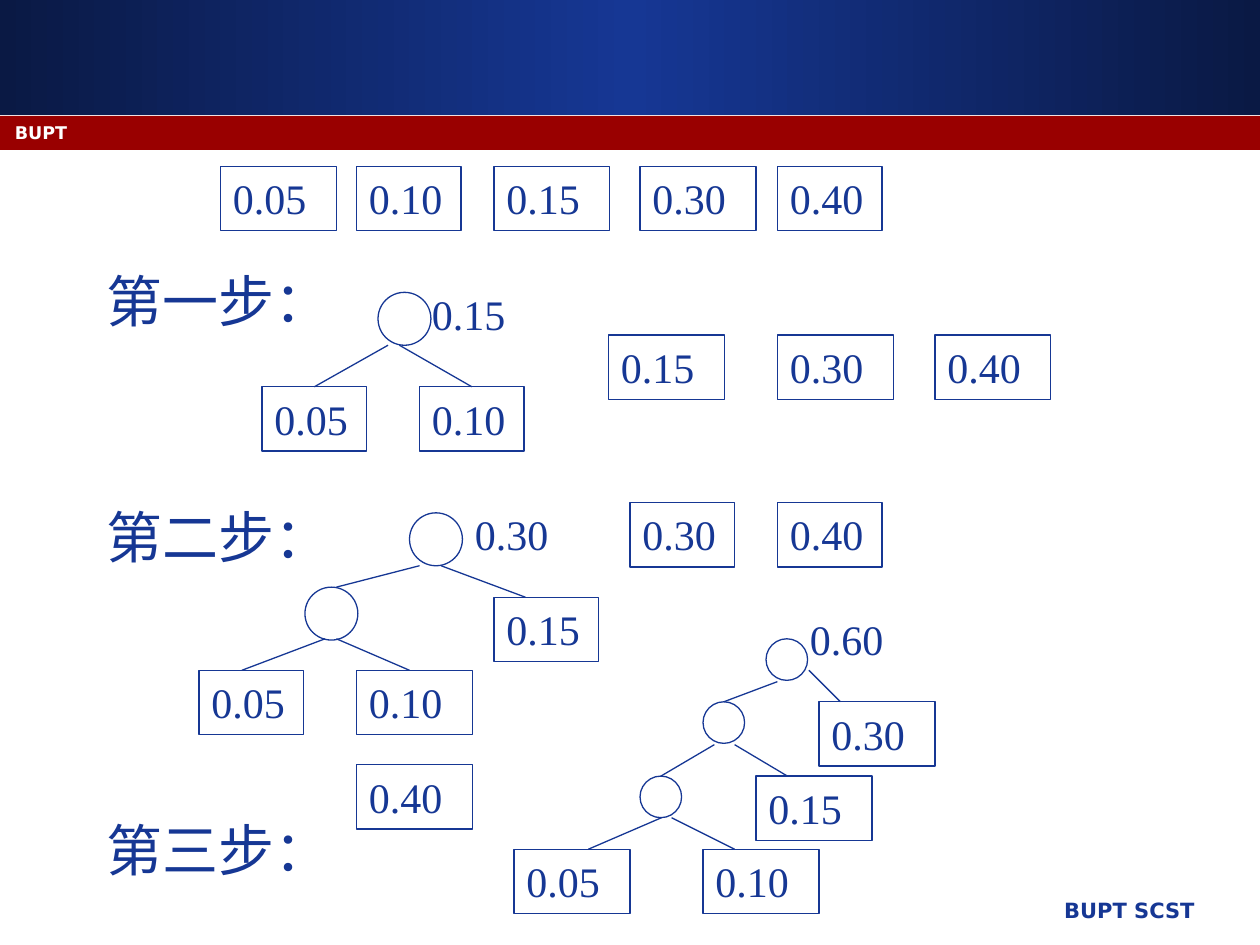
from copy import deepcopy

from pptx import Presentation
from pptx.dml.color import RGBColor
from pptx.enum.shapes import MSO_CONNECTOR, MSO_SHAPE
from pptx.enum.text import MSO_ANCHOR, PP_ALIGN
from pptx.oxml.ns import qn
from pptx.util import Inches, Pt
from lxml import etree

NAVY = RGBColor(0x16, 0x37, 0x94)
DARK_NAVY = RGBColor(0x0A, 0x19, 0x44)
RED = RGBColor(0x99, 0x00, 0x00)
WHITE = RGBColor(0xFF, 0xFF, 0xFF)
RECTANGLE, OVAL = MSO_SHAPE.RECTANGLE, MSO_SHAPE.OVAL
STRAIGHT = MSO_CONNECTOR.STRAIGHT
LEFT, RIGHT = PP_ALIGN.LEFT, PP_ALIGN.RIGHT
TOP = MSO_ANCHOR.TOP

NUMBER = {"name": "Times New Roman", "size": Pt(24)}
STEP = {"name": "Times New Roman", "size": Pt(32)}
BRAND = {"name": "DejaVu Sans", "size": Pt(10), "bold": True}
FOOTER = {"name": "DejaVu Sans", "size": Pt(12), "bold": True}
NARROW, WIDE, LEAF_HEIGHT = 0.83, 0.92, 0.51


def write(shape, text, font, color=NAVY, align=LEFT):
    frame = shape.text_frame
    frame.word_wrap = True
    frame.vertical_anchor = TOP
    para = frame.paragraphs[0]
    para.alignment = align
    span = para.add_run()
    span.text = text
    for name, value in font.items():
        setattr(span.font, name, value)
    span.font.color.rgb = color


def add_text(page, box, text, font, color=NAVY, align=LEFT):
    shape = page.shapes.add_textbox(*map(Inches, box))
    write(shape, text, font, color, align)


def add_outline(page, kind, box):
    shape = page.shapes.add_shape(kind, *map(Inches, box))
    shape.shadow.inherit = False
    shape.fill.background()
    shape.line.color.rgb = NAVY
    shape.line.width = Pt(0.75)
    return shape


def add_branch(page, start, end, child=None):
    """Draw a branch, joined to the top of the child when one is given."""
    branch = page.shapes.add_connector(STRAIGHT, *map(Inches, start + end))
    branch.line.color.rgb = NAVY
    branch.line.width = Pt(0.75)
    etree.SubElement(branch._element.spPr, qn("a:effectLst"))
    if child is not None:
        branch.end_connect(child, 0)


def add_leaves(page, box, leaves):
    """Leaves are (text, x, y, width), measured from the box corner."""
    left, top = box
    shapes = []
    for text, x, y, width in leaves:
        shape = add_outline(page, RECTANGLE, (left + x, top + y, width, LEAF_HEIGHT))
        write(shape, text, NUMBER)
        shapes.append(shape)
    return shapes


def add_tree(page, box, size, nodes, leaves, branches, weight):
    """Branches are (x1, y1, x2, y2, joined child); leaves count first, then nodes."""
    left, top = box
    children = add_leaves(page, box, leaves)
    for x, y in nodes:
        children.append(add_outline(page, OVAL, (left + x, top + y, size, size)))
    for x1, y1, x2, y2, child in branches:
        target = None if child is None else children[child]
        add_branch(page, (left + x1, top + y1), (left + x2, top + y2), target)
    text, x, y = weight
    add_text(page, (left + x, top + y, 1, 0.5), text, NUMBER)


def add_header(page, box):
    left, top, width = box
    banner = page.shapes.add_shape(RECTANGLE, *map(Inches, (left, top, width, 0.91)))
    strip = page.shapes.add_shape(RECTANGLE, *map(Inches, (left, top + 0.92, width, 0.27)))
    for shape in (banner, strip):
        shape.shadow.inherit = False
        shape.line.fill.background()
    strip.fill.solid()
    strip.fill.fore_color.rgb = RED

    # Three-stop gradient, dark at both ends
    banner.fill.gradient()
    banner.fill.gradient_angle = 0
    stop_list = banner._element.spPr.find(".//" + qn("a:gsLst"))
    stop_list.append(deepcopy(stop_list[0]))
    colors = (DARK_NAVY, NAVY, DARK_NAVY)
    for index, (stop, color) in enumerate(zip(banner.fill.gradient_stops, colors)):
        stop.position = index / 2
        stop.color.rgb = color

    add_text(page, (left + 0.02, top + 0.92, 9.25, 0.25), "BUPT", BRAND, WHITE)


def add_step_one(page, box):
    left, top = box
    add_tree(
        page, (left, top), 0.42,
        nodes=[(0.92, 0.08)],
        leaves=[("0.05", 0, 0.83, NARROW), ("0.10", 1.25, 0.83, NARROW)],
        branches=[(1, 0.5, 0.42, 0.83, 0), (1.09, 0.5, 1.67, 0.83, 1)],
        weight=("0.15", 1.25, 0),
    )
    add_leaves(page, (left + 2.75, top + 0.42), [
        ("0.15", 0, 0, WIDE), ("0.30", 1.34, 0, WIDE), ("0.40", 2.59, 0, WIDE)])


def add_step_two(page, box):
    left, top = box
    add_tree(
        page, (left, top), 0.42,
        nodes=[(0.84, 0.67), (1.67, 0.08)],
        leaves=[("0.05", 0, 1.33, NARROW), ("0.10", 1.25, 1.33, WIDE),
                ("0.15", 2.34, 0.75, NARROW)],
        branches=[(1.75, 0.5, 1.09, 0.67, None), (1.92, 0.5, 2.59, 0.75, None),
                  (1, 1.08, 0.34, 1.33, None), (1.09, 1.08, 1.67, 1.33, None)],
        weight=("0.30", 2.09, 0),
    )
    add_leaves(page, (left + 3.42, top), [
        ("0.30", 0, 0, NARROW), ("0.40", 1.17, 0, NARROW)])


def add_step_three(page, box):
    left, top = box
    add_leaves(page, (left, top + 1.25), [("0.40", 0, 0, WIDE)])
    add_tree(
        page, (left + 1.25, top), 0.33,
        nodes=[(2, 0.25), (1.5, 0.75), (1, 1.34)],
        leaves=[("0.30", 2.42, 0.75, WIDE), ("0.15", 1.92, 1.34, WIDE),
                ("0.10", 1.5, 1.92, WIDE), ("0.05", 0, 1.92, WIDE)],
        branches=[(2.09, 0.59, 1.67, 0.75, 5), (1.59, 1.09, 1.17, 1.34, 6),
                  (1.17, 1.67, 0.59, 1.92, None), (1.25, 1.67, 1.75, 1.92, None),
                  (2.34, 0.5, 2.59, 0.75, None), (1.75, 1.09, 2.17, 1.34, None)],
        weight=("0.60", 2.25, 0),
    )


def main():
    deck = Presentation()
    deck.slide_width, deck.slide_height = Inches(10), Inches(7.5)
    page = deck.slides.add_slide(deck.slide_layouts[6])

    # Header and footer
    add_header(page, (0, 0, 10))
    add_text(page, (4.21, 7.07, 5.37, 0.35), "BUPT SCST", FOOTER, align=RIGHT)

    # Step labels
    for text, top in (("第一步：", 2.07), ("第二步：", 3.94), ("第三步：", 6.42)):
        add_text(page, (0.75, top, 2, 0.63), text, STEP)

    # Starting weights, then the trees of each step
    add_leaves(page, (1.75, 1.32), [
        ("0.05", 0, 0, WIDE), ("0.10", 1.08, 0, NARROW), ("0.15", 2.17, 0, WIDE),
        ("0.30", 3.33, 0, WIDE), ("0.40", 4.42, 0, NARROW)])
    add_step_one(page, (2.08, 2.24))
    add_step_two(page, (1.58, 3.99))
    add_step_three(page, (2.83, 4.82))

    deck.save("out.pptx")


if __name__ == "__main__":
    main()
